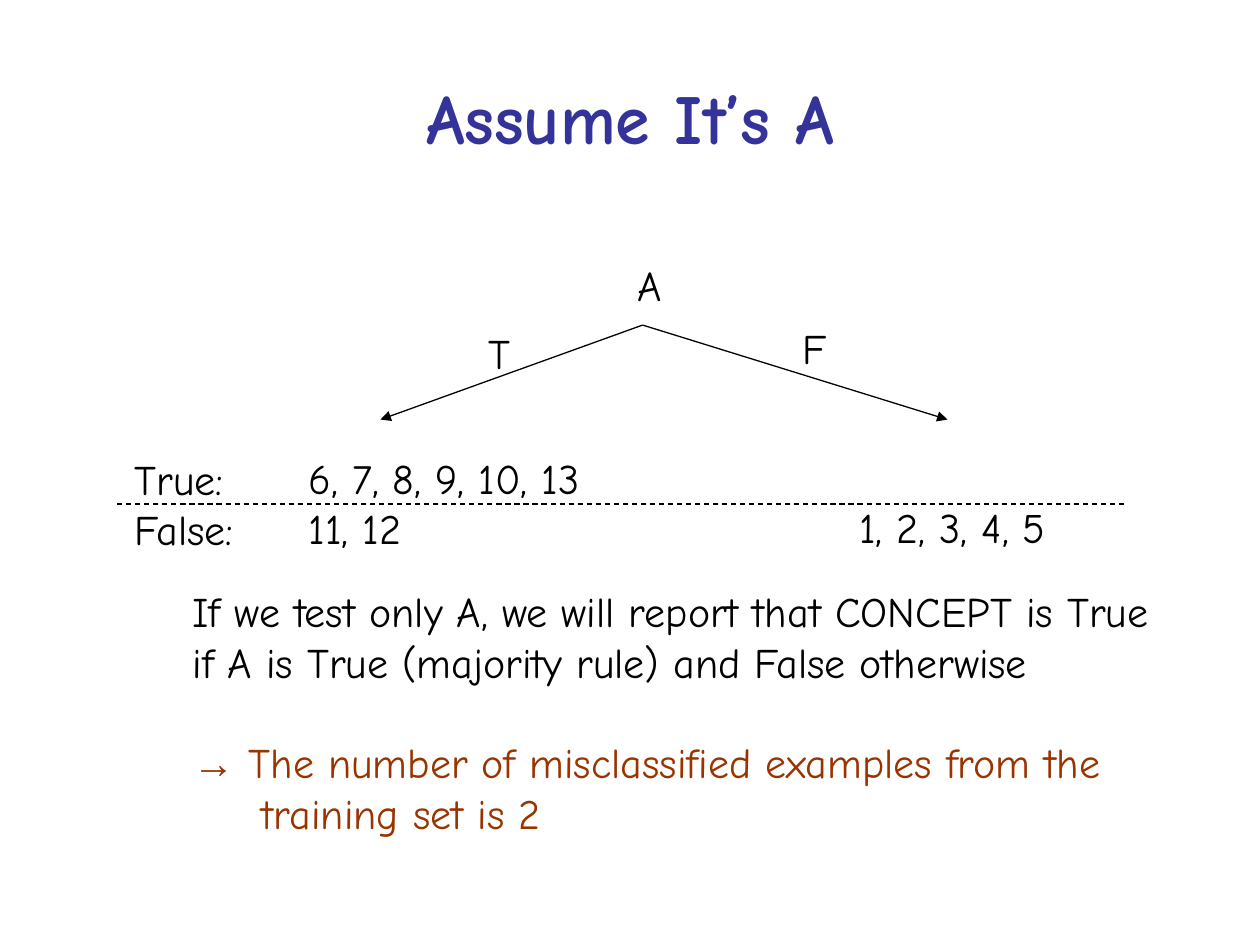
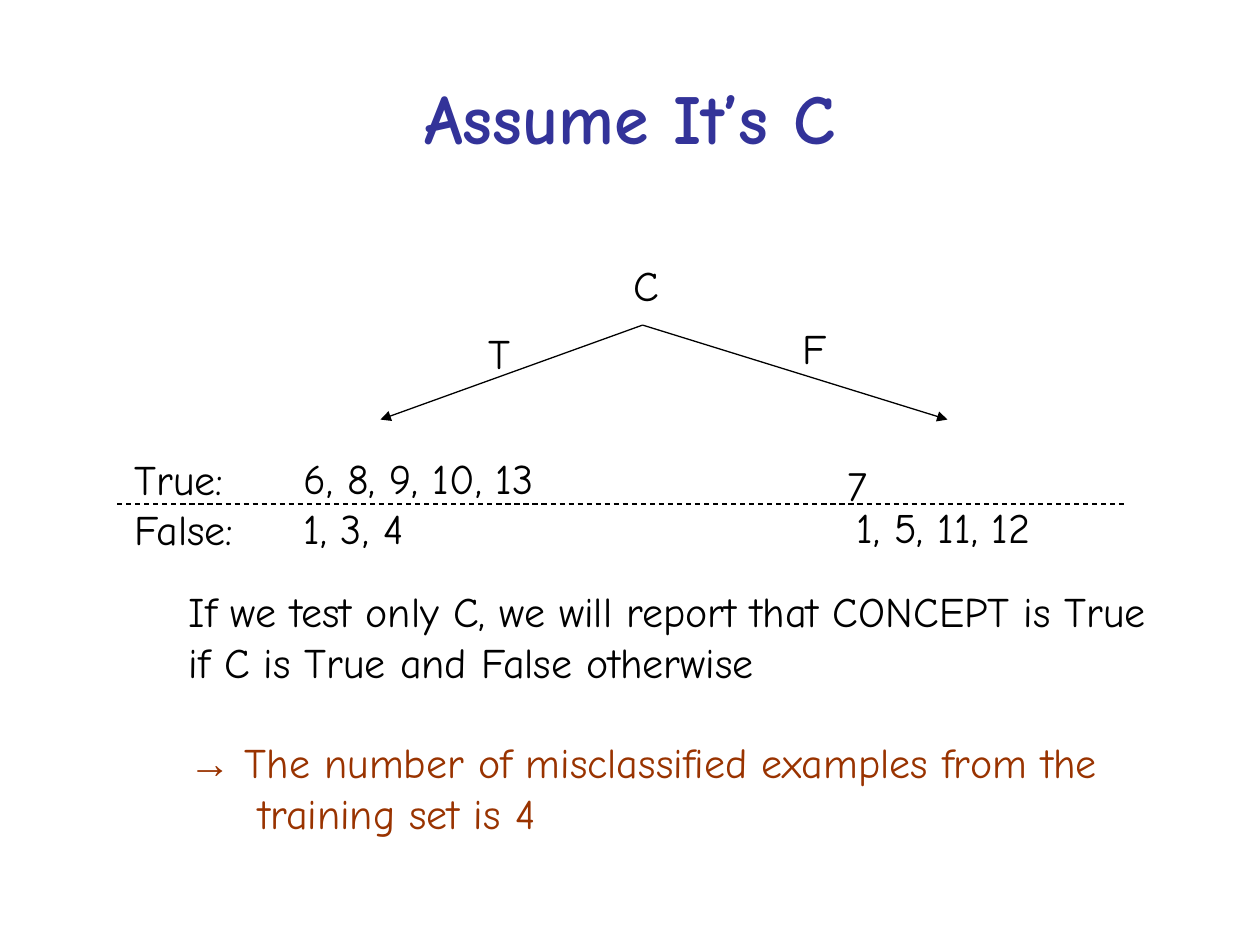
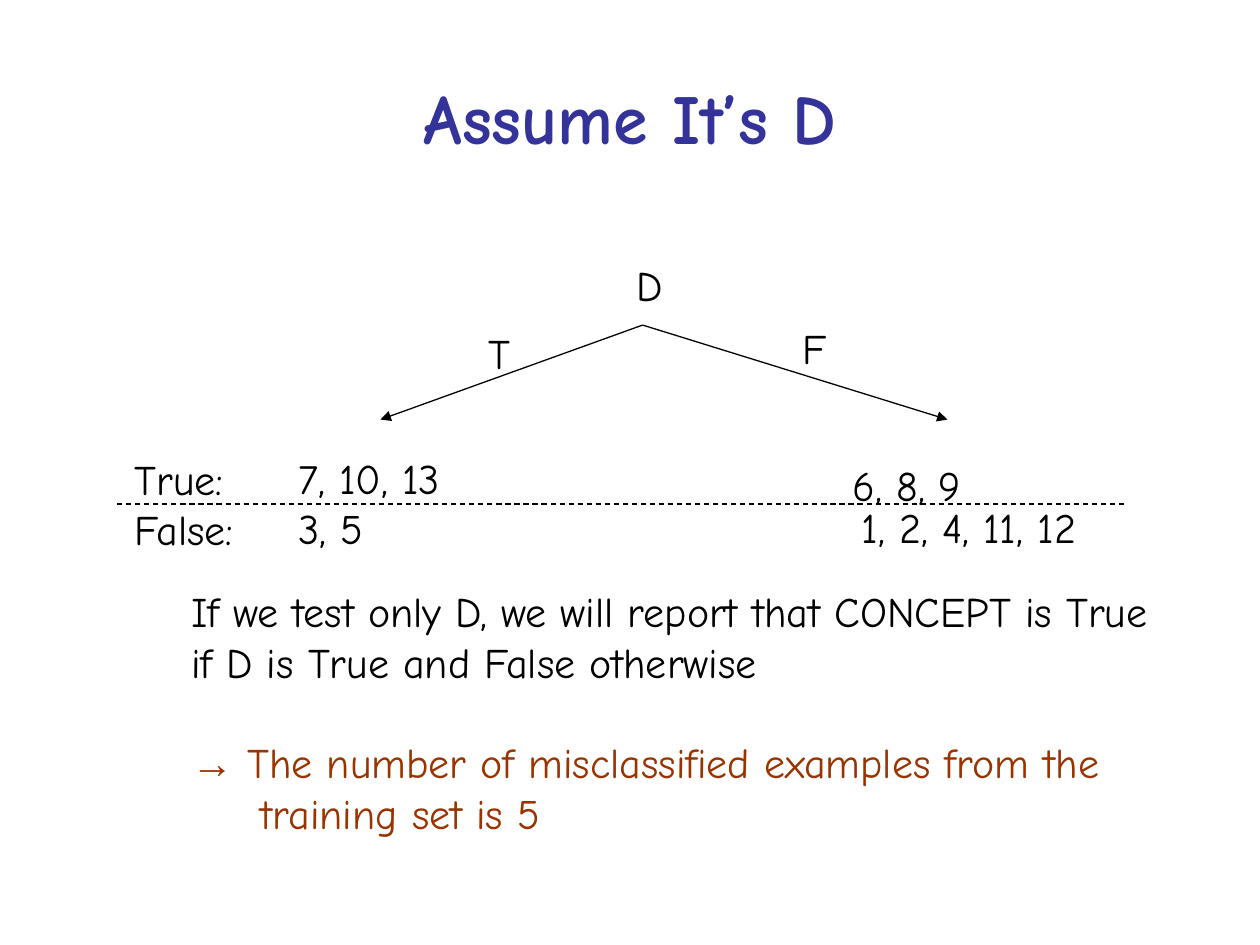
from pptx import Presentation
from pptx import util as u
from pptx.dml.color import RGBColor
from pptx.enum import dml, shapes, text
from pptx.oxml import ns
from lxml import etree

BLUE = RGBColor(0x33, 0x33, 0x99)
RUST = RGBColor(0x99, 0x33, 0x00)
BLACK = RGBColor(0, 0, 0)
FACE = "Comic Neue"

deck = Presentation()
deck.slide_width, deck.slide_height = u.Inches(10), u.Inches(7.5)
# Grid of 100 columns and 75 rows
COL = deck.slide_width / 100
ROW = deck.slide_height / 75


def put(page, left, top, wide, high, words, size=24, color=BLACK, bold=False):
    """Add a text box, its place given in columns and rows."""
    box = page.shapes.add_textbox(int(left * COL), int(top * ROW),
                                  int(wide * COL), int(high * ROW))
    frame = box.text_frame
    frame.word_wrap = True
    frame.margin_right = 0
    frame.text = words
    for para in frame.paragraphs:
        for run in para.runs:
            font = run.font
            font.name, font.size, font.bold = FACE, u.Pt(size), bold
            font.color.rgb = color
    return frame


def link(page, start, end):
    """Add a thin black line between two grid points."""
    line = page.shapes.add_connector(
        shapes.MSO_CONNECTOR.STRAIGHT,
        int(start[0] * COL), int(start[1] * ROW),
        int(end[0] * COL), int(end[1] * ROW))
    line.line.color.rgb = BLACK
    line.line.width = u.Pt(0.74)
    etree.SubElement(line._element.spPr, ns.qn("a:effectLst"))
    return line


# Per slide: feature, rule, errors, root box (left, width), note box (left, width),
# T leaf (left, width, words), F leaf boxes (left, top, width, words)
TESTS = [
    ("A", " (majority rule)", 2, (49.6, 3.9), (14.3, 78.1),
     (23.5, 23.5, "6, 7, 8, 9, 10, 13\n11, 12"),
     [(67.2, 39.3, 16.8, "1, 2, 3, 4, 5")]),
    ("C", "", 4, (49.3, 4), (14, 78.2),
     (23.1, 20.3, "6, 8, 9, 10, 13\n1, 3, 4"),
     [(66.3, 36, 3.6, "7"), (67, 39.3, 15.8, "1, 5, 11, 12")]),
    ("D", "", 5, (49.5, 4.1), (14.2, 78.3),
     (22.7, 13.2, "7, 10, 13\n3, 5"),
     [(66.7, 36, 10.6, "6, 8, 9"), (67.4, 39.3, 19, "1, 2, 4, 11, 12")]),
]
ROOT = (51, 25.8)

for name, rule, miss, root, note, yes, no in TESTS:
    page = deck.slides.add_slide(deck.slide_layouts[6])

    # Title
    frame = put(page, 5, 3, 90, 12.5, f"Assume It’s {name}", 40, BLUE, True)
    frame.margin_left = 0
    frame.vertical_anchor = text.MSO_ANCHOR.MIDDLE
    frame.paragraphs[0].alignment = text.PP_ALIGN.CENTER

    # Tree: root, branches and their labels
    put(page, root[0], 20.1, root[1], 5, name)
    for tip in (30.2, 75.2):
        arm = link(page, ROOT, (tip, 33.3))
        etree.SubElement(arm.line._get_or_add_ln(), ns.qn("a:tailEnd"), type="triangle")
    put(page, 37.8, 25.5, 3.7, 5, "T")
    put(page, 62.7, 25.1, 3.9, 5, "F")

    # Leaves, split by a dashed line
    put(page, 9.7, 35.5, 10, 9, "True:\nFalse:")
    link(page, (9.3, 40), (89.3, 40)).line.dash_style = dml.MSO_LINE.DASH
    put(page, yes[0], 35.4, yes[1], 9, yes[2])
    for left, top, wide, words in no:
        put(page, left, top, wide, 5, words)

    # Note with the error count
    frame = put(page, note[0], 46, note[1], 21,
                f"If we test only {name}, we will report that CONCEPT is True\v"
                f"if {name} is True{rule} and False otherwise")
    para = frame.add_paragraph()
    para.text = "→"
    para.space_before = u.Pt(28.8)
    para.add_run().text = " The number of misclassified examples from the"
    para.add_line_break()
    para.add_run().text = f"training set is {miss}"
    hang = int(5.5 * COL)
    props = para._p.get_or_add_pPr()
    props.set("marL", str(hang))
    props.set("indent", str(-hang))
    for run in para.runs:
        run.font.name, run.font.size = FACE, u.Pt(24)
        run.font.color.rgb = RUST
    para.runs[0].font.name = "Arial"

deck.save("out.pptx")
